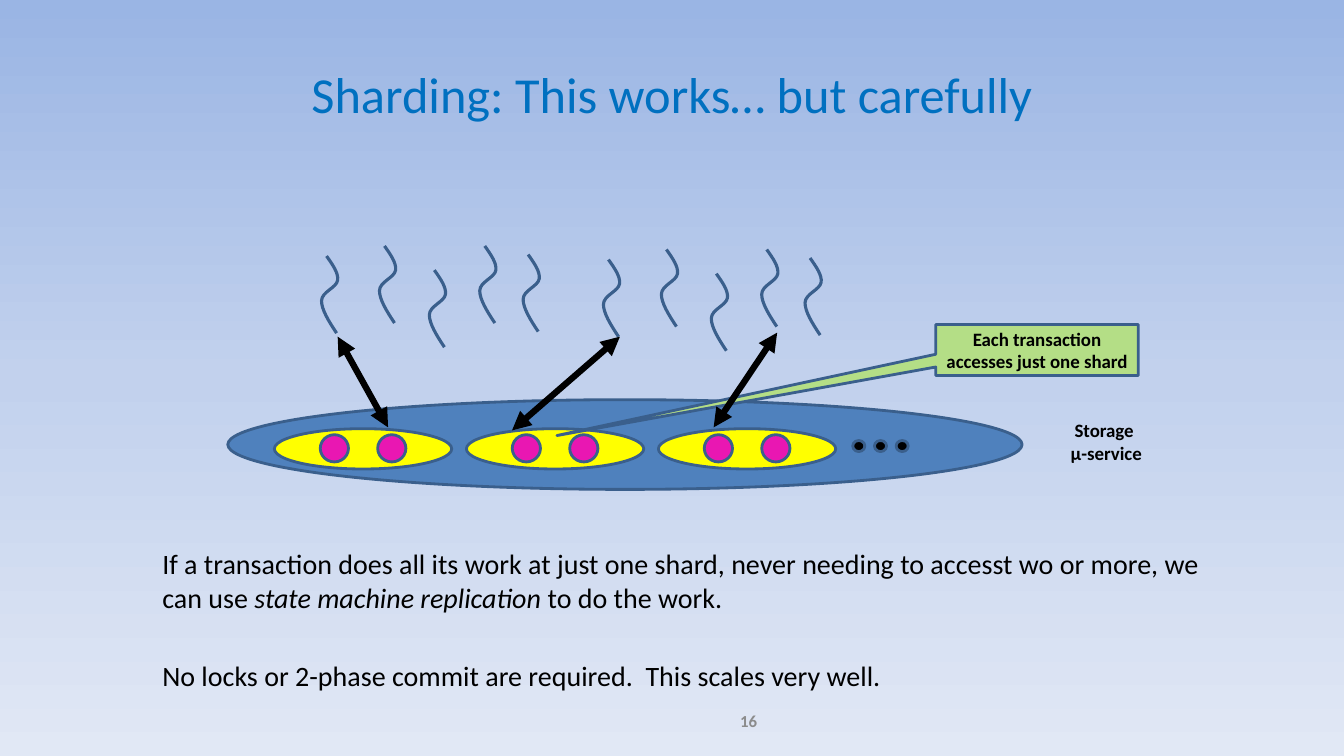
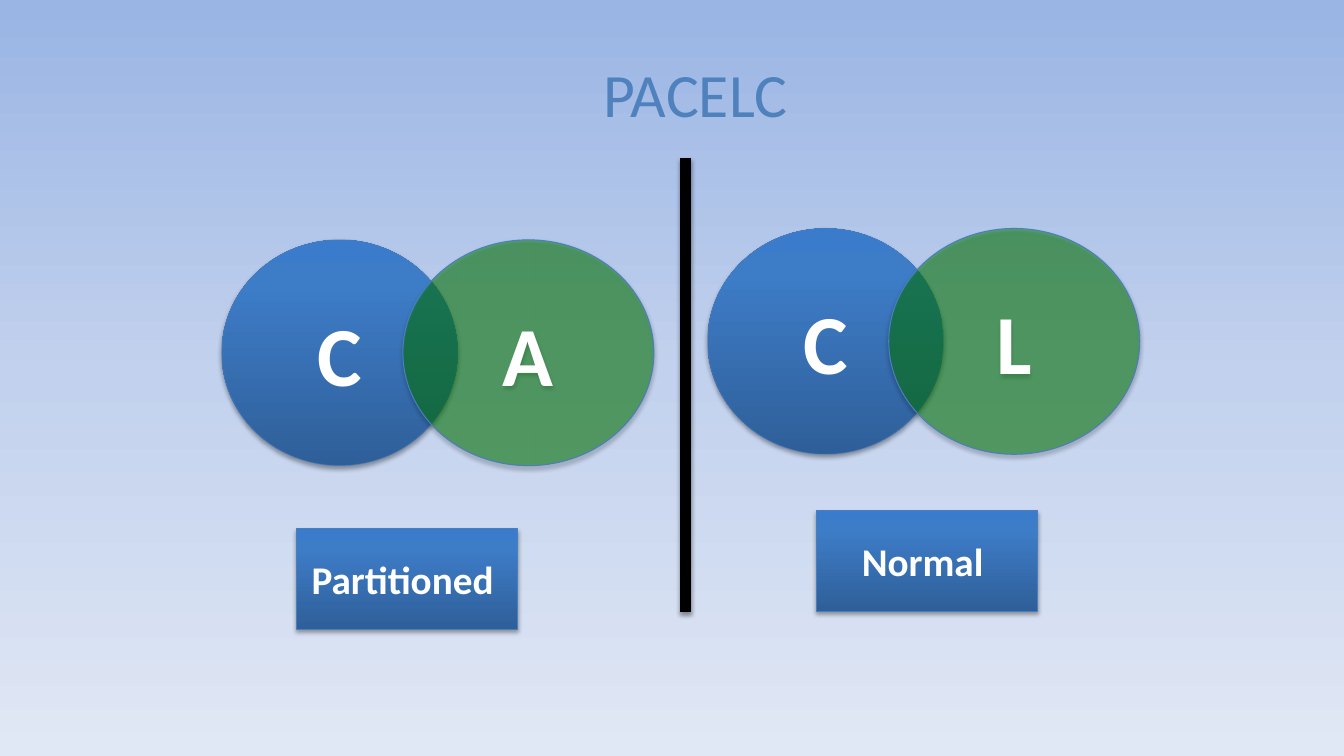
from dataclasses import dataclass
from itertools import product
from typing import NamedTuple

from lxml import etree
from pptx import Presentation
from pptx.dml.color import RGBColor
from pptx.enum.shapes import MSO_CONNECTOR, MSO_SHAPE
from pptx.enum.text import MSO_ANCHOR, PP_ALIGN
from pptx.oxml.ns import qn
from pptx.util import Pt

ELLIPSE, RECTANGLE, CALLOUT = MSO_SHAPE.OVAL, MSO_SHAPE.RECTANGLE, MSO_SHAPE.RECTANGULAR_CALLOUT
STRAIGHT = MSO_CONNECTOR.STRAIGHT
LEFT, CENTER, RIGHT = PP_ALIGN.LEFT, PP_ALIGN.CENTER, PP_ALIGN.RIGHT
TOP, MIDDLE = MSO_ANCHOR.TOP, MSO_ANCHOR.MIDDLE

# The slide is a grid of square cells, 75 rows high and 133.33 columns wide.
SLIDE_WIDTH, SLIDE_HEIGHT = 12192000, 6858000
CELL = SLIDE_HEIGHT // 75
FONT = "Calibri"
COLORS = {
    "title": "0070C0", "accent": "4F81BD", "outline": "3A5F8C", "text": "000000",
    "number": "8C8C8C", "shard": "FFFF00", "replica": "E917B2", "callout": "B4DE86",
    "white": "FFFFFF", "green": "008000", "edge": "4B7EBC",
}
SKY = [(0, "9AB5E4"), (50, "C2D1ED"), (100, "E1E8F5")]
GLOSS = [(0, "2F5F99"), (80, "3D7CC7"), (100, "3A7CCB")]


class Point(NamedTuple):
    column: float
    row: float


class Box(NamedTuple):
    column: float
    row: float
    columns: float
    rows: float

    def emu(self) -> list[int]:
        return [cells(length) for length in self]


@dataclass
class Arrow:
    start: Point
    end: Point


@dataclass
class Venn:
    """Two overlapping circles with a label below them."""
    origin: Point
    letters: str
    label: str
    label_corner: Point


SHARD_LEFT, SHARD_PITCH, SHARD_ROW = 27.22, 19.05, 42.53
REPLICA_OFFSETS = (4.55, 10.25)
DOT_LEFT, DOT_PITCH = 84.6, 2.15
BUNCHES = [Point(0, 0), Point(27.97, 0.35)]
SQUIGGLES = [Point(31.9, 25.4), Point(37.65, 24.4), Point(42.6, 26.8),
             Point(47.6, 24.4), Point(51.9, 25.25)]
# Bezier points of one squiggle: a start, then two controls and an end per curve.
SQUIGGLE_CURVE = [Point(0.5, 0), Point(1.1, 0.85), Point(1.7, 1.7), Point(1.6, 2.4),
                  Point(1.5, 3.15), Point(0, 3.55), Point(0, 4.45),
                  Point(0, 5.3), Point(0.7, 6.45), Point(1.5, 7.65)]
ARROWS = [Arrow(Point(33.5, 33.4), Point(38.5, 42.4)),
          Arrow(Point(77.1, 33), Point(70.8, 42.4)),
          Arrow(Point(61.5, 33.4), Point(50.8, 42.7))]
VENNS = [Venn(Point(22, 23.8), "CA", "Partitioned ", Point(29.4, 52.45)),
         Venn(Point(70.2, 22.67), "CL", "Normal ", Point(81, 50.67))]


def cells(count: float) -> int:
    return round(count * CELL)


def rgb(name: str) -> RGBColor:
    return RGBColor.from_string(COLORS[name])


def write(frame, text: str, *, size: float, color: str, bold: bool = False,
          align=CENTER, anchor=MIDDLE, gap: float | None = None) -> None:
    """Fill a text frame: a newline starts a paragraph, asterisks enclose italics."""
    frame.word_wrap = True
    frame.vertical_anchor = anchor
    for number, line in enumerate(text.split("\n")):
        para = frame.add_paragraph() if number else frame.paragraphs[0]
        para.alignment = align
        if number and gap is not None:
            para.space_before = Pt(gap)
        for part, words in enumerate(line.split("*")):
            span = para.add_run()
            span.text = words
            span.font.name = FONT
            span.font.size = Pt(size)
            span.font.bold = bold
            span.font.italic = part % 2 == 1
            span.font.color.rgb = rgb(color)


def place(shape, box: Box) -> None:
    shape.left, shape.top, shape.width, shape.height = box.emu()


def set_gradient(fill, owner, stops: list[tuple[int, str]], angle: int) -> None:
    """Give a fill its stops; owner is the XML element that holds the fill."""
    fill.gradient()
    fill.gradient_angle = angle
    stop_list = next(owner.iter(qn("a:gsLst")))
    for stop in list(stop_list):
        stop_list.remove(stop)
    for position, color in stops:
        stop = etree.SubElement(stop_list, qn("a:gs"), pos=str(position * 1000))
        etree.SubElement(stop, qn("a:srgbClr"), val=color)


def set_opacity(owner, percent: int) -> None:
    color = next(owner.iter(qn("a:srgbClr")))
    etree.SubElement(color, qn("a:alpha"), val=str(percent * 1000))


def add_shadow(effects, opacity: int) -> None:
    shadow = etree.SubElement(effects, qn("a:outerShdw"), blurRad=str(Pt(3.1)),
                              dist=str(Pt(1.8)), dir="5400000", rotWithShape="0")
    etree.SubElement(shadow, qn("a:srgbClr"), val=COLORS["text"])
    set_opacity(shadow, opacity)


def add_figure(shapes, kind, box: Box, fill: str, line: str = "outline", weight: float = 2):
    figure = shapes.add_shape(kind, *box.emu())
    figure.shadow.inherit = False
    figure.fill.solid()
    figure.fill.fore_color.rgb = rgb(fill)
    figure.line.color.rgb = rgb(line)
    figure.line.width = Pt(weight)
    return figure


def add_raised(shapes, kind, box: Box, text: str, size: float, *,
               glossy: bool = True, edge_opacity: int = 100) -> None:
    """Add a shadowed figure, either glossy blue or see-through green."""
    figure = add_figure(shapes, kind, box, "green", "edge", 0.75)
    properties = figure._element.spPr
    if glossy:
        set_gradient(figure.fill, properties, GLOSS, 90)
    else:
        set_opacity(properties, 50)
    if edge_opacity < 100:
        set_opacity(properties.find(qn("a:ln")), edge_opacity)
    add_shadow(properties.find(qn("a:effectLst")), 35)
    write(figure.text_frame, text, size=size, color="white", bold=True)


def add_line(shapes, start: Point, end: Point, weight: float, *,
             arrows: bool = False, shadow: bool = False) -> None:
    line = shapes.add_connector(STRAIGHT, *map(cells, (*start, *end)))
    line.line.color.rgb = rgb("text")
    line.line.width = Pt(weight)
    properties = line._element.spPr
    if arrows:
        for tag in ("a:headEnd", "a:tailEnd"):
            etree.SubElement(properties.find(qn("a:ln")), qn(tag), type="triangle")
    effects = etree.SubElement(properties, qn("a:effectLst"))
    if shadow:
        add_shadow(effects, 38)


def add_textbox(shapes, box: Box, text: str, **text_format) -> None:
    write(shapes.add_textbox(*box.emu()).text_frame, text, **text_format)


def add_squiggle(shapes, corner: Point) -> None:
    """Join the curve's ends by straight segments, then bend each into a Bezier curve."""
    start, *ends = [(cells(corner.column + point.column), cells(corner.row + point.row))
                    for point in SQUIGGLE_CURVE[::3]]
    builder = shapes.build_freeform(*start)
    builder.add_line_segments(ends, close=False)
    squiggle = builder.convert_to_shape()
    squiggle.shadow.inherit = False
    squiggle.fill.background()
    squiggle.line.color.rgb = rgb("outline")
    squiggle.line.width = Pt(2.25)
    segments = list(squiggle._element.iter(qn("a:lnTo")))
    for number, segment in enumerate(segments):
        bend = etree.Element(qn("a:cubicBezTo"))
        for point in SQUIGGLE_CURVE[3 * number + 1:3 * number + 4]:
            etree.SubElement(bend, qn("a:pt"), x=str(cells(point.column)), y=str(cells(point.row)))
        segment.getparent().replace(segment, bend)


def add_shard(shapes, column: float) -> None:
    group = shapes.add_group_shape().shapes
    add_figure(group, ELLIPSE, Box(column, SHARD_ROW, 17.6, 4), "shard")
    for offset in REPLICA_OFFSETS:
        add_figure(group, ELLIPSE, Box(column + offset, SHARD_ROW + 0.6, 2.8, 2.7), "replica")


def add_slide(deck, layout: int, title: str, box: Box, **title_format):
    slide = deck.slides.add_slide(deck.slide_layouts[layout])
    place(slide.shapes.title, box)
    write(slide.shapes.title.text_frame, title, **title_format)
    return slide


def add_body(slide, box: Box, text: str) -> None:
    body = slide.placeholders[1]
    place(body, box)
    write(body.text_frame, text, size=20, color="text", align=LEFT, anchor=TOP, gap=31.5)
    for para in body.text_frame.paragraphs:
        properties = para._p.get_or_add_pPr()
        properties.set("marL", "0")
        properties.set("indent", "0")
        etree.SubElement(properties, qn("a:buNone"))


def build_sharding(deck) -> None:
    slide = add_slide(deck, 1, "Sharding: This works… but carefully",
                      Box(6.67, 3, 120, 12.5), size=36, color="title")
    add_body(slide, Box(15.1, 53.75, 107.5, 15.8),
             "If a transaction does all its work at just one shard, never needing to accesst "
             "wo or more, we can use *state machine replication *to do the work.\n"
             "No locks or 2-phase commit are required.  This scales very well.")
    shapes = slide.shapes
    add_textbox(shapes, Box(45, 69.5, 31.1, 4), "16",
                size=12, color="number", bold=True, align=RIGHT)
    add_figure(shapes, ELLIPSE, Box(22.6, 39.65, 78.8, 8.9), "accent")
    label = {"size": 13.5, "color": "text", "bold": True}
    add_textbox(shapes, Box(103.7, 41.05, 12.1, 5.6), "Storage \nμ-service", anchor=TOP, **label)
    for number in range(3):
        add_shard(shapes, SHARD_LEFT + number * SHARD_PITCH)
    for number in range(3):
        add_figure(shapes, ELLIPSE, Box(DOT_LEFT + number * DOT_PITCH, 43.7, 1.2, 1.1), "text")
    callout = add_figure(shapes, CALLOUT, Box(92.83, 32.2, 20.1, 5.05), "callout")
    callout.adjustments[0], callout.adjustments[1] = -2.37, 1.68
    frame = callout.text_frame
    frame.margin_left = frame.margin_right = cells(0.5)
    write(frame, "Each transaction accesses just one shard", **label)
    for bunch, corner in product(BUNCHES, SQUIGGLES):
        add_squiggle(shapes, Point(bunch.column + corner.column, bunch.row + corner.row))
    for arrow in ARROWS:
        add_line(shapes, arrow.start, arrow.end, 4.5, arrows=True)


def build_pacelc(deck) -> None:
    shapes = add_slide(deck, 5, "PACELC", Box(24, 3, 90, 12.5), size=44, color="accent").shapes
    for venn in VENNS:
        column, row = venn.origin
        first, second = venn.letters
        add_raised(shapes, ELLIPSE, Box(column, row, 23.4, 22.4), first, 60, edge_opacity=50)
        add_raised(shapes, ELLIPSE, Box(column + 17.97, row, 24.9, 22.4), second, 60, glossy=False)
        add_raised(shapes, RECTANGLE, Box(*venn.label_corner, 21.95, 10), venn.label, 28)
    add_line(shapes, Point(68, 15.65), Point(68, 60.7), 8, shadow=True)


def main() -> None:
    deck = Presentation()
    deck.slide_width, deck.slide_height = SLIDE_WIDTH, SLIDE_HEIGHT
    master = deck.slide_master
    set_gradient(master.background.fill, master._element, SKY, 270)
    build_sharding(deck)
    build_pacelc(deck)
    deck.save("out.pptx")


if __name__ == "__main__":
    main()
